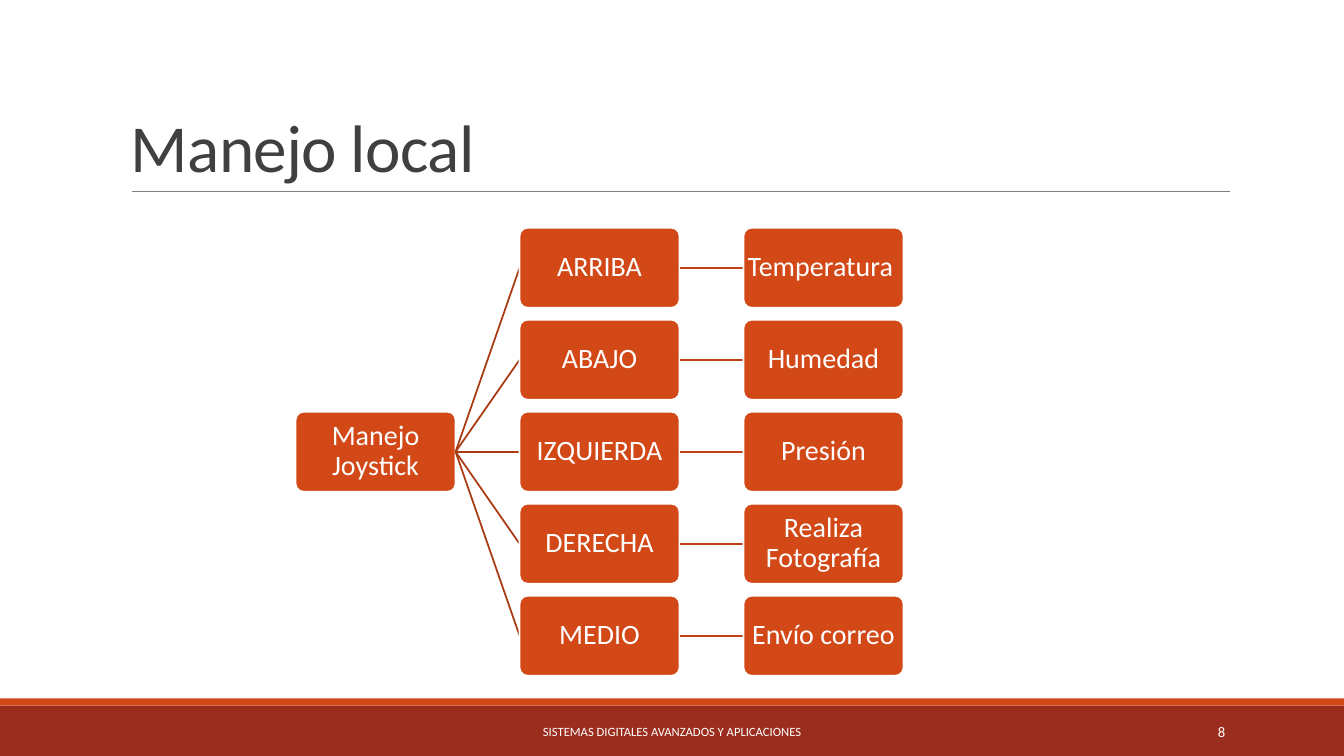
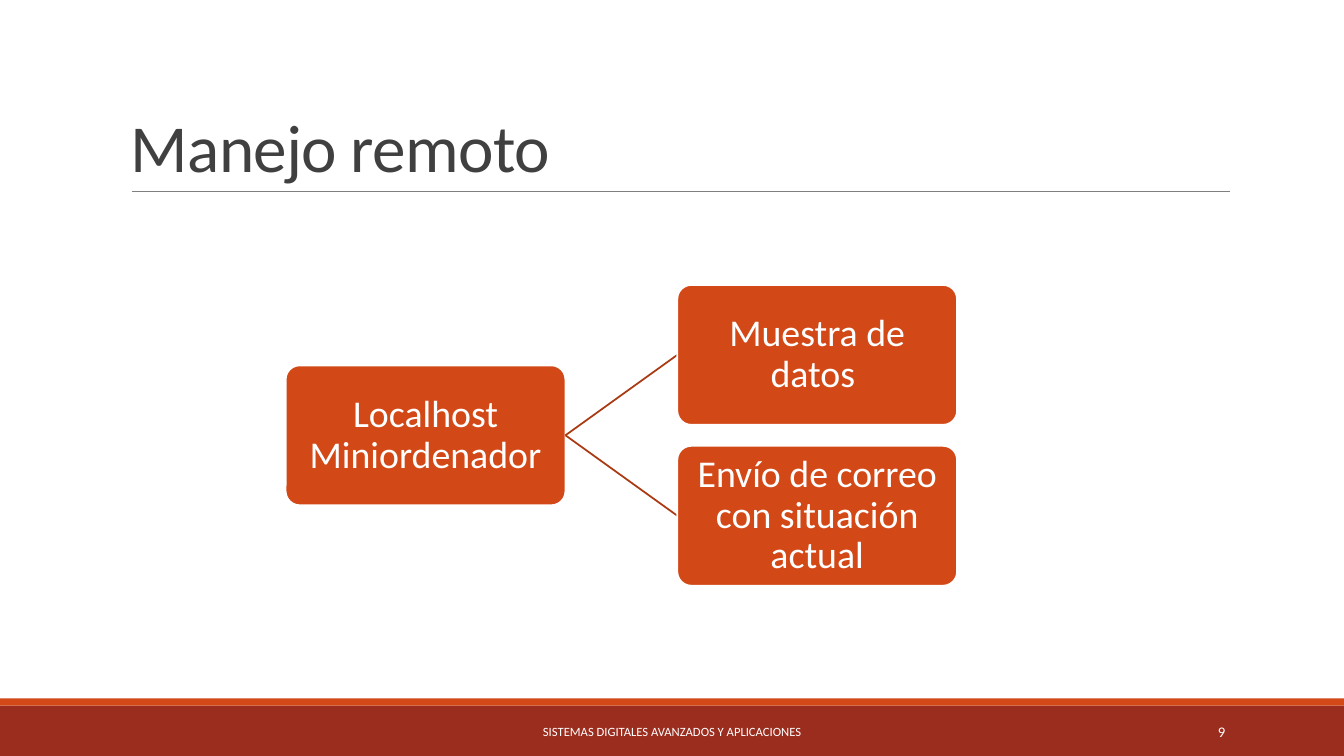
import pptx
import pptx.util
import pptx.dml.color
import pptx.enum.shapes
import pptx.enum.text
import pptx.oxml.ns
import lxml.etree

Cm, Pt = pptx.util.Cm, pptx.util.Pt
Form = pptx.enum.shapes.MSO_SHAPE
Side = pptx.enum.text.PP_ALIGN
Hold = pptx.enum.text.MSO_ANCHOR

# Shared look
WIDE, HIGH = 33.87, 19.05
FONT = "Calibri"
WHITE, GREY, RULE = "FFFFFF", "404040", "808080"
RUST, FLAME = "9B2D1F", "D34817"
LINKS = ["A93A12", "BF4115"]
FOOTER = "SISTEMAS DIGITALES AVANZADOS Y APLICACIONES"

# Tree proportions: box height to width, column and row pitch to box size
RATIO, COL, ROW = 0.5, 1.4, 1.15

# Each node is its text and its children
LOCAL = ("Manejo Joystick", [
    ("ARRIBA", [("Temperatura ", [])]),
    ("ABAJO", [("Humedad", [])]),
    ("IZQUIERDA", [("Presión", [])]),
    ("DERECHA", [("Realiza Fotografía", [])]),
    ("MEDIO", [("Envío correo", [])]),
])
REMOTE = ("Localhost Miniordenador", [
    ("Muestra de datos ", []),
    ("Envío de correo con situación actual", []),
])

# Title, number, tree, its box (left, top, width), text size
SLIDES = [
    ("Manejo local", 8, LOCAL, (7.45, 5.74, 15.32), 20),
    ("Manejo remoto", 9, REMOTE, (7.2, 7.18, 16.92), 27),
]


def tint(code):
    return pptx.dml.color.RGBColor.from_string(code)


def style(item, values):
    for name, value in values.items():
        setattr(item, name, value)


def write(shape, text, size, color=WHITE, frame=None, para=None):
    body = shape.text_frame
    style(body, {"word_wrap": True, "vertical_anchor": Hold.MIDDLE, **(frame or {})})
    line = body.paragraphs[0]
    style(line, para or {})
    run = line.add_run()
    run.text = text
    style(run.font, {"name": FONT, "size": Pt(size)})
    run.font.color.rgb = tint(color)
    return run


def label(slide, box, *args, **kinds):
    return write(slide.shapes.add_textbox(*map(Cm, box)), *args, **kinds)


def block(slide, form, box, fill):
    shape = slide.shapes.add_shape(form, *map(Cm, box))
    shape.shadow.inherit = False
    shape.fill.solid()
    shape.fill.fore_color.rgb = tint(fill)
    shape.line.fill.background()
    return shape


def link(slide, start, end, color, width):
    line = slide.shapes.add_connector(
        pptx.enum.shapes.MSO_CONNECTOR.STRAIGHT, *map(Cm, start + end))
    line.line.color.rgb = tint(color)
    line.line.width = Pt(width)
    lxml.etree.SubElement(line._element.spPr, pptx.oxml.ns.qn("a:effectLst"))


def base(slide, title, number):
    # Bands and rule
    block(slide, Form.RECTANGLE, (0, 17.78, WIDE, 1.27), RUST)
    block(slide, Form.RECTANGLE, (0, 17.6, WIDE, 0.18), FLAME)
    link(slide, (3.32, 4.83), (31, 4.83), RULE, 0.5)
    # Title
    run = label(slide, (3.05, 0.79, 27.94, 4.03), title, 48, GREY,
                frame={"vertical_anchor": Hold.BOTTOM}, para={"line_spacing": 0.85})
    run._r.get_or_add_rPr().set("spc", "-50")
    # Footer
    label(slide, (10.24, 17.94, 13.39, 1.01), FOOTER, 9,
          para={"alignment": Side.CENTER})
    label(slide, (27.5, 17.94, 3.63, 1.01), str(number), 10.5,
          para={"alignment": Side.RIGHT})


def leaves(node):
    return sum(map(leaves, node[1])) or 1


def depth(node):
    return 1 + max(map(depth, node[1]), default=0)


def card(slide, box, text, size):
    shape = block(slide, Form.ROUNDED_RECTANGLE, box, FLAME)
    shape.adjustments[0] = 0.1
    shape.line.color.rgb = tint(WHITE)
    shape.line.width = Pt(1.25)
    sides = ("left", "right", "top", "bottom")
    write(shape, text, size,
          frame={"margin_" + side: Pt(size * 0.05) for side in sides},
          para={"alignment": Side.CENTER, "line_spacing": 0.9})


def branch(slide, node, left, top, width, size, level=0):
    text, kids = node
    high = width * RATIO
    pitch = high * ROW
    mid = top + (pitch * (leaves(node) - 1) + high) / 2
    card(slide, (left, mid - high / 2, width, high), text, size)
    # Children stack downwards, one column to the right
    for kid in kids:
        span = pitch * (leaves(kid) - 1) + high
        link(slide, (left + width, mid), (left + width * COL, top + span / 2),
             LINKS[level], 1.25)
        branch(slide, kid, left + width * COL, top, width, size, level + 1)
        top += pitch * leaves(kid)


def tree(slide, node, box, size):
    left, top, wide = box
    branch(slide, node, left, top, wide / (1 + COL * (depth(node) - 1)), size)


def main():
    deck = pptx.Presentation()
    style(deck, {"slide_width": Cm(WIDE), "slide_height": Cm(HIGH)})
    for title, number, node, box, size in SLIDES:
        slide = deck.slides.add_slide(deck.slide_layouts[6])
        base(slide, title, number)
        tree(slide, node, box, size)
    deck.save("out.pptx")


if __name__ == "__main__":
    main()
